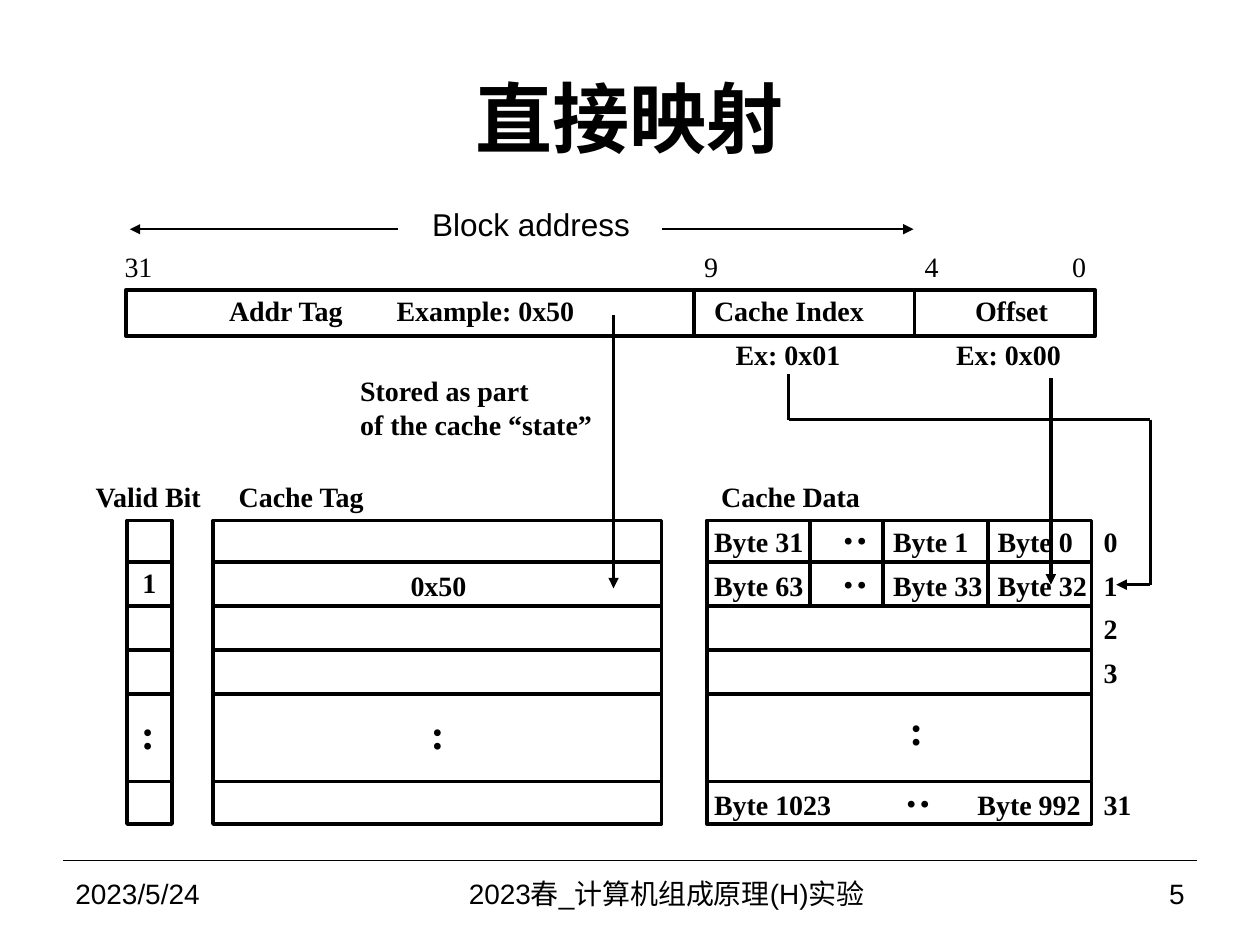
from dataclasses import dataclass
from itertools import pairwise

from lxml import etree
from pptx import Presentation
from pptx.dml.color import RGBColor
from pptx.enum.shapes import MSO_CONNECTOR, MSO_SHAPE
from pptx.enum.text import MSO_ANCHOR, MSO_AUTO_SIZE, PP_ALIGN
from pptx.oxml.ns import qn
from pptx.util import Pt

STRAIGHT = MSO_CONNECTOR.STRAIGHT
RECTANGLE = MSO_SHAPE.RECTANGLE
MIDDLE = MSO_ANCHOR.MIDDLE
FIT_SHAPE = MSO_AUTO_SIZE.SHAPE_TO_FIT_TEXT
LEFT, CENTER, RIGHT = PP_ALIGN.LEFT, PP_ALIGN.CENTER, PP_ALIGN.RIGHT


@dataclass(frozen=True)
class Theme:
    ink: RGBColor = RGBColor(0, 0, 0)
    sans: str = "Arial"
    serif: str = "Times New Roman"
    title: float = 44
    dots: float = 24
    heading: float = 18
    body: float = 16
    thick: float = 2
    thin: float = 1
    hairline: float = 0.75


@dataclass(frozen=True)
class Label:
    text: str
    left: float
    top: float
    width: float
    height: float = 30
    size: float = Theme.body
    font: str = Theme.serif
    bold: bool = True
    rotation: float = 0


@dataclass(frozen=True)
class Column:
    left: float
    width: float


@dataclass(frozen=True)
class Footer:
    text: str
    left: float
    width: float
    align: PP_ALIGN


THEME = Theme()

# Cache rows share one pitch; the row before the last is two pitches high.
TABLE_TOP, TABLE_BOTTOM, ROW = 297.4, 470.9, 25.1
RULES = [321.2 + ROW * step for step in (0, 1, 2, 3, 5)]
ROW_TEXT = [296 + ROW * step for step in range(4)]
LAST_ROW_TEXT = 446.4
VALID, TAG, DATA = Column(72.6, 25.8), Column(121.7, 256.3), Column(403.9, 219.9)
BYTE_DIVIDERS = (463, 504.7, 564.5)
BYTE_ROWS = (("Byte 31", "Byte 1", "Byte 0"), ("Byte 63", "Byte 33", "Byte 32"))
BYTE_LEFTS = (401, 503.3, 563)
BYTE_WIDTHS = {6: 57.6, 7: 66.2}

FIELD_TOP, FIELD_HEIGHT = 165.6, 26.6
FIELD_DIVIDERS = (396.7, 522.7)
FIELD_TEXT, EXAMPLE_TEXT, BIT_TEXT, HEADING_TEXT = 164.2, 189.4, 139, 270.7

LABELS = [
    Label("Block address", 239.8, 113.8, 128.9, 33.1, THEME.heading, THEME.sans, False),
    Label("Addr Tag", 123.8, FIELD_TEXT, 79.9),
    Label("Example: 0x50", 219.6, FIELD_TEXT, 117.4),
    Label("Cache Index", 401, FIELD_TEXT, 100.8),
    Label("Offset", 550.1, FIELD_TEXT, 56.9),
    Label("Ex: 0x01", 413.3, EXAMPLE_TEXT, 74.9),
    Label("Ex: 0x00", 539.3, EXAMPLE_TEXT, 74.9),
    Label("Stored as part\nof the cache “state”", 198.7, 210.2, 149, 52.6),
    Label("Valid Bit", 47.5, HEADING_TEXT, 75.6),
    Label("Cache Tag", 129.3, HEADING_TEXT, 86.7),
    Label("Cache Data", 405, HEADING_TEXT, 94.7),
    Label("1", 74.2, 319.7, 22.3, 26.6),
    Label("0x50", 227.5, ROW_TEXT[1], 46.8),
    Label("Byte 1023", 401, LAST_ROW_TEXT, 82.1),
    Label("Byte 992", 551.5, LAST_ROW_TEXT, 74.2),
    Label("31", 623.5, LAST_ROW_TEXT, 30.2),
]
BIT_NUMBERS = (("31", 64.1, 30.2), ("9", 395.3, 22.3), ("4", 521.3, 22.3), ("0", 605.5, 22.3))
VERTICAL_DOTS = ((73.4, 401), (239, 401), (512.6, 398.2))
HORIZONTAL_DOTS = ((471.6, 289.4), (471.6, 314.6), (507.6, 439.9))

ARROWS = [
    ((350.6, 180), (350.6, 336.2)),
    ((600.5, 216), (600.5, 334.1)),
]
BLOCK_ADDRESS_ARROWS = [
    ((227.5, 131), (74.2, 131)),
    ((378, 131), (522, 131)),
]
INDEX_PATH = [(450.7, 213.8), (450.7, 239.8), (657.4, 239.8), (657.4, 334.1), (637.9, 334.1)]

FOOTERS = [
    Footer("2023/5/24", 36, 168, LEFT),
    Footer("2023春_计算机组成原理(H)实验", 204, 354, CENTER),
    Footer("5", 558, 126, RIGHT),
]


def format_text(frame, size: float, font: str, bold: bool, align: PP_ALIGN = LEFT) -> None:
    for para in frame.paragraphs:
        para.alignment = align
        for span in para.runs:
            span.font.size = Pt(size)
            span.font.name = font
            span.font.bold = bold
            span.font.color.rgb = THEME.ink


def draw_label(page, label: Label) -> None:
    box = page.shapes.add_textbox(Pt(label.left), Pt(label.top), Pt(label.width), Pt(label.height))
    box.rotation = label.rotation
    frame = box.text_frame
    frame.text = label.text
    frame.word_wrap = False
    frame.auto_size = FIT_SHAPE
    format_text(frame, label.size, label.font, label.bold)


def draw_footer(page, footer: Footer) -> None:
    box = page.shapes.add_textbox(Pt(footer.left), Pt(491.8), Pt(footer.width), Pt(37.4))
    frame = box.text_frame
    frame.text = footer.text
    frame.word_wrap = True
    frame.vertical_anchor = MIDDLE
    format_text(frame, THEME.body, THEME.sans, False, footer.align)


def draw_line(page, start: tuple, end: tuple, width: float = THEME.thick, arrow: bool = False) -> None:
    line = page.shapes.add_connector(STRAIGHT, Pt(start[0]), Pt(start[1]), Pt(end[0]), Pt(end[1]))
    line.line.color.rgb = THEME.ink
    line.line.width = Pt(width)
    if arrow:
        etree.SubElement(line.line._get_or_add_ln(), qn("a:tailEnd"), type="triangle")
    etree.SubElement(line._element.spPr, qn("a:effectLst"))


def draw_frame(page, left: float, top: float, width: float, height: float) -> None:
    frame = page.shapes.add_shape(RECTANGLE, Pt(left), Pt(top), Pt(width), Pt(height))
    frame.shadow.inherit = False
    frame.fill.background()
    frame.line.color.rgb = THEME.ink
    frame.line.width = Pt(THEME.thick)


def draw_column(page, column: Column) -> None:
    draw_frame(page, column.left, TABLE_TOP, column.width, TABLE_BOTTOM - TABLE_TOP)
    for y in RULES:
        draw_line(page, (column.left, y), (column.left + column.width, y))


def draw_title(page, text: str) -> None:
    title = page.shapes.title
    title.left, title.top, title.width, title.height = Pt(36), Pt(21.6), Pt(648), Pt(90)
    title.text_frame.text = text
    title.text_frame.vertical_anchor = MIDDLE
    format_text(title.text_frame, THEME.title, THEME.sans, True, CENTER)


def draw_address(page) -> None:
    draw_frame(page, 72, FIELD_TOP, 553.7, FIELD_HEIGHT)
    for x in FIELD_DIVIDERS:
        draw_line(page, (x, FIELD_TOP), (x, FIELD_TOP + FIELD_HEIGHT))
    for text, left, width in BIT_NUMBERS:
        draw_label(page, Label(text, left, BIT_TEXT, width, bold=False))
    for start, end in BLOCK_ADDRESS_ARROWS:
        draw_line(page, start, end, THEME.thin, arrow=True)


def draw_cache(page) -> None:
    for column in (VALID, TAG, DATA):
        draw_column(page, column)
    for x in BYTE_DIVIDERS:
        draw_line(page, (x, TABLE_TOP), (x, RULES[1]))
    for names, top in zip(BYTE_ROWS, ROW_TEXT):
        for name, left in zip(names, BYTE_LEFTS):
            draw_label(page, Label(name, left, top, BYTE_WIDTHS[len(name)]))
    for number, top in enumerate(ROW_TEXT):
        draw_label(page, Label(str(number), 623.5, top, 22.3))
    for left, top in VERTICAL_DOTS:
        draw_label(page, Label(":", left, top, 22.3, 41, THEME.dots))
    for left, top in HORIZONTAL_DOTS:
        draw_label(page, Label(":", left, top, 25.9, 36, THEME.dots, rotation=270))


def main() -> None:
    deck = Presentation()
    deck.slide_width, deck.slide_height = Pt(720), Pt(540)
    page = deck.slides.add_slide(deck.slide_layouts.get_by_name("Title Only"))
    draw_title(page, "直接映射")
    draw_address(page)
    draw_cache(page)
    for label in LABELS:
        draw_label(page, label)
    for start, end in ARROWS:
        draw_line(page, start, end, arrow=True)
    for start, end in pairwise(INDEX_PATH):
        draw_line(page, start, end, arrow=end == INDEX_PATH[-1])
    draw_line(page, (36, 491.8), (684, 491.8), THEME.hairline)
    for footer in FOOTERS:
        draw_footer(page, footer)
    deck.save("out.pptx")


if __name__ == "__main__":
    main()
